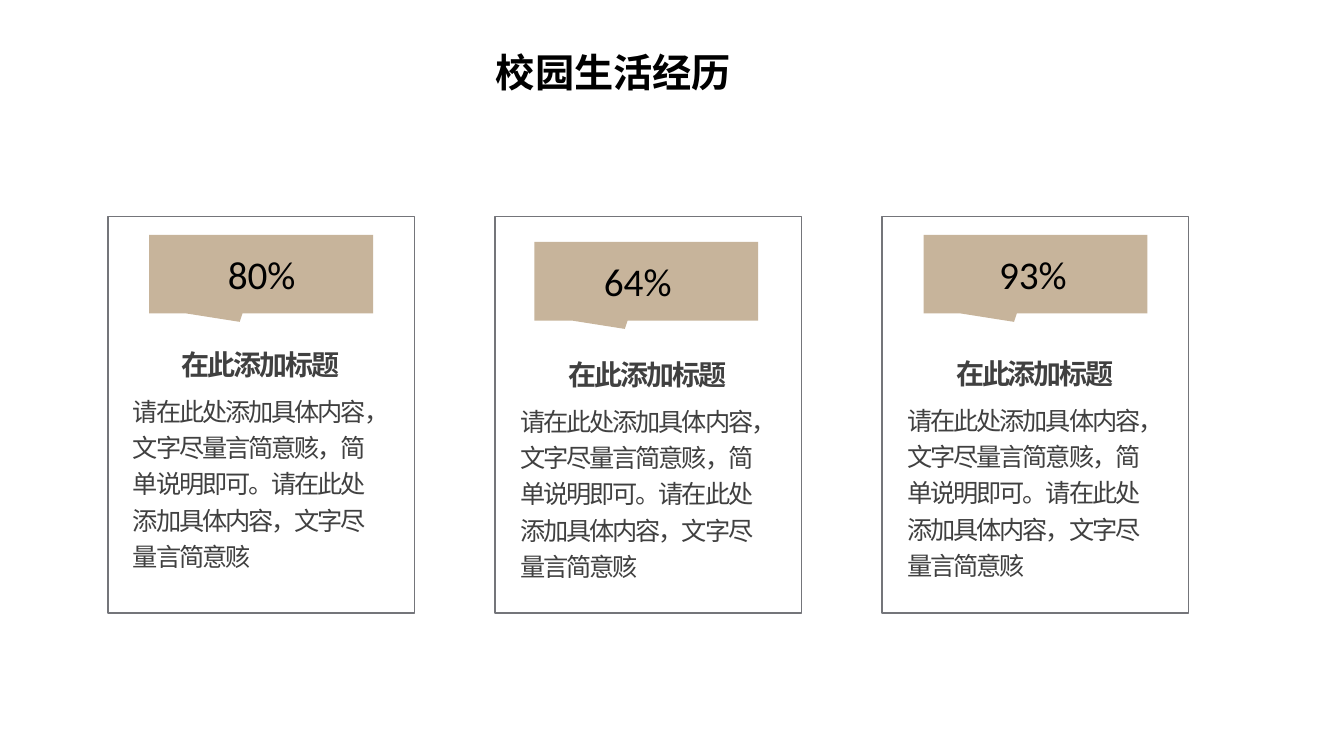
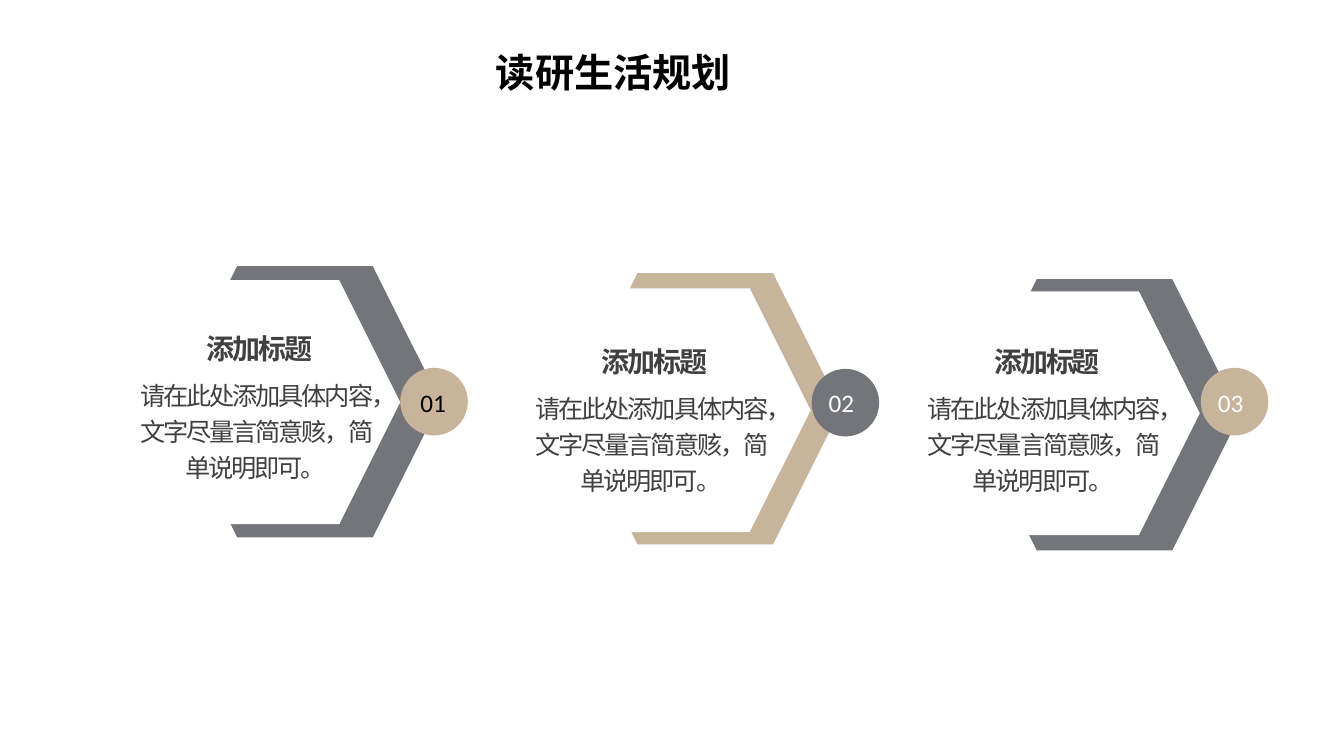
from pptx import Presentation
from pptx.dml.color import RGBColor
from pptx.enum.shapes import MSO_SHAPE
from pptx.enum.text import MSO_AUTO_SIZE, PP_ALIGN
from pptx.util import Inches, Pt

COLORS = {
    "tan": "C7B49B",
    "gray": "74757A",
    "text": "404040",
    "black": "000000",
    "white": "FFFFFF",
}
FONT = "Calibri"
SENTENCE = "请在此处添加具体内容，文字尽量言简意赅，简单说明即可。"


class Deck:
    """Holds the shared style and the slide being built."""

    def __init__(self):
        self.presentation = Presentation()
        self.presentation.slide_width = Inches(13.33)
        self.presentation.slide_height = Inches(7.5)
        self.slide = None

    def color(self, name):
        return RGBColor.from_string(COLORS[name])

    def add_slide(self, title):
        self.slide = self.presentation.slides.add_slide(self.presentation.slide_layouts[6])
        self.text(title, 4.82, 0.43, 2.53, 0.57, size=28, bold=True, wrap=False)

    def shape(self, kind, left, top, width, height, fill=None, line=None, adjustments=()):
        shape = self.slide.shapes.add_shape(
            kind, Inches(left), Inches(top), Inches(width), Inches(height))
        shape.shadow.inherit = False
        for index, value in enumerate(adjustments):
            shape.adjustments[index] = value
        if fill:
            shape.fill.solid()
            shape.fill.fore_color.rgb = self.color(fill)
        else:
            shape.fill.background()
        if line:
            shape.line.color.rgb = self.color(line)
            shape.line.width = Pt(1)
        else:
            shape.line.fill.background()

    def text(self, content, left, top, width, height, size=18, color="black", bold=False,
             align=PP_ALIGN.LEFT, line_spacing=1.0, tracking=None, wrap=True):
        """Add a text box; tracking is the letter spacing in points."""
        box = self.slide.shapes.add_textbox(
            Inches(left), Inches(top), Inches(width), Inches(height))
        frame = box.text_frame
        frame.word_wrap = wrap
        frame.auto_size = MSO_AUTO_SIZE.SHAPE_TO_FIT_TEXT
        paragraph = frame.paragraphs[0]
        paragraph.alignment = align
        paragraph.line_spacing = line_spacing
        run = paragraph.add_run()
        run.text = content
        run.font.name = FONT
        run.font.size = Pt(size)
        run.font.bold = bold
        run.font.color.rgb = self.color(color)
        if tracking:
            run.font._element.set("spc", str(int(tracking * 100)))

    def topic(self, heading, body, left, top, height, align=PP_ALIGN.LEFT):
        """Add a centred heading with its body text below."""
        self.text(body, left, top + 0.59, 2.65, height, color="text",
                  align=align, line_spacing=1.2, tracking=-1.5)
        self.text(heading, left + 0.09, top, 2.55, 0.55, size=20, color="text", bold=True,
                  align=PP_ALIGN.CENTER, line_spacing=1.5, tracking=-1.5)

    def card(self, left, percent, callout_left, callout_top, percent_left, topic_top):
        self.shape(MSO_SHAPE.ROUNDED_RECTANGLE, left, 2.15, 3.04, 3.93,
                   line="gray", adjustments=[0])
        self.shape(MSO_SHAPE.RECTANGULAR_CALLOUT, callout_left, callout_top, 2.22, 0.78,
                   fill="tan", adjustments=[-0.096, 0.607])
        self.text(percent, percent_left, callout_top + 0.1, 1.67, 0.57, size=28,
                  align=PP_ALIGN.CENTER)
        body = SENTENCE + SENTENCE[:-len("，简单说明即可。")]
        self.topic("在此添加标题", body, left + 0.15, topic_top, 1.92)

    def chevron(self, outer, inner, color):
        """Add a hexagon partly covered by a white one, leaving an arrow-like band."""
        self.shape(MSO_SHAPE.HEXAGON, *outer, 2.69, 2.69, fill=color)
        self.shape(MSO_SHAPE.HEXAGON, *inner, 2.42, 2.42, fill="white")

    def badge(self, number, left, top, number_left, fill, color):
        self.shape(MSO_SHAPE.OVAL, left, top, 0.67, 0.67, fill=fill)
        self.text(number, number_left, 3.79, 0.46, 0.4, color=color, wrap=False)


def build_campus_life(deck):
    deck.add_slide("校园生活经历")
    cards = [
        ("80%", 1.48, 2.33, 1.76, 3.23),
        ("64%", 5.3, 2.4, 5.49, 3.33),
        ("93%", 9.16, 2.33, 9.41, 3.32),
    ]
    for index, card in enumerate(cards):
        deck.card(1.07 + index * 3.84, *card)


def build_study_plan(deck):
    deck.add_slide("读研生活规划")
    steps = [
        # outer hexagon, inner hexagon, band, badge, topic
        ((1.68, 2.64), (1.55, 2.78), "gray", (3.97, 3.65, 4.07, "tan", "black"), (1.21, 3.07)),
        ((5.65, 2.71), (5.62, 2.86), "tan", (8.05, 3.66, 8.12, "gray", "white"), (5.13, 3.2)),
        ((9.61, 2.77), (9.48, 2.89), "gray", (11.91, 3.65, 11.98, "tan", "white"), (9.02, 3.2)),
    ]
    for number, (outer, inner, band, badge, topic) in enumerate(steps, start=1):
        deck.chevron(outer, inner, band)
        deck.badge(f"{number:02d}", *badge)
        deck.topic("添加标题", SENTENCE, *topic, 1.19, align=PP_ALIGN.CENTER)


def main():
    deck = Deck()
    build_campus_life(deck)
    build_study_plan(deck)
    deck.presentation.save("out.pptx")


if __name__ == "__main__":
    main()
